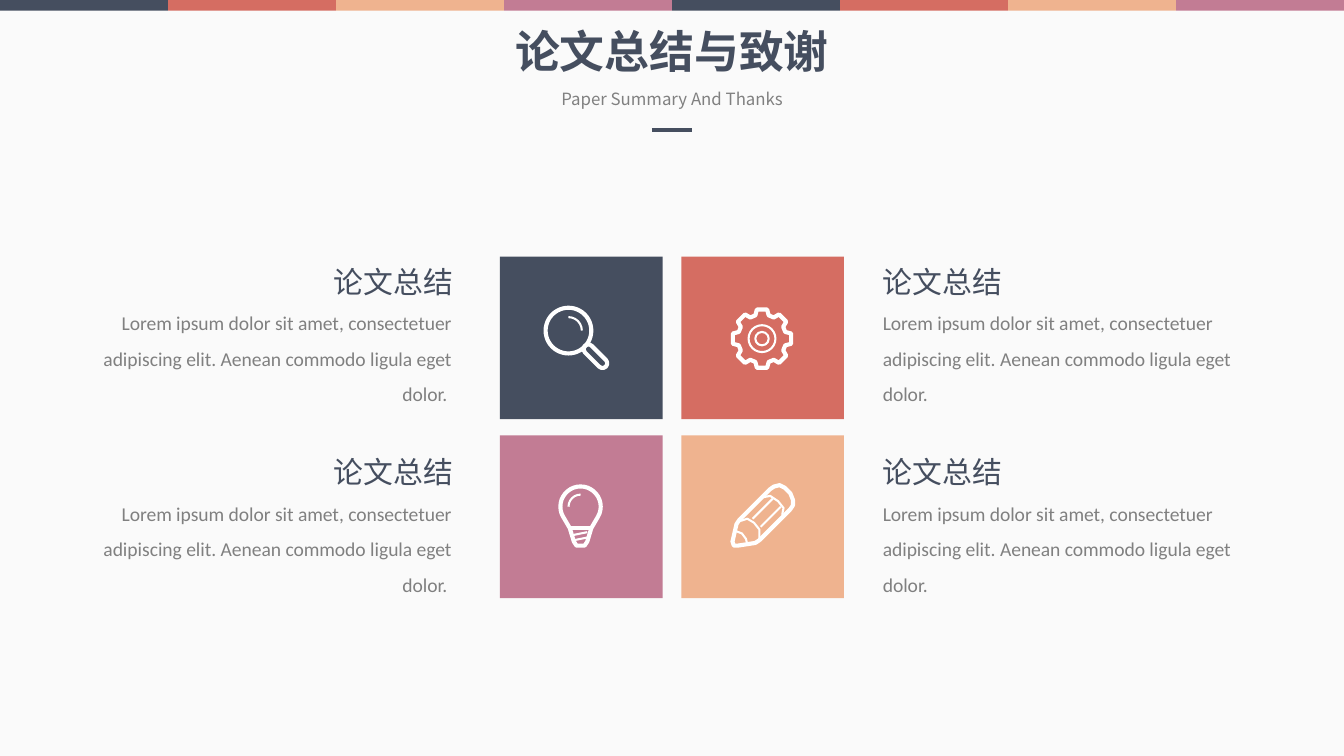
from dataclasses import dataclass
from math import cos, radians, sin

from lxml.etree import SubElement
from pptx import Presentation
from pptx.dml.color import RGBColor
from pptx.enum.shapes import MSO_CONNECTOR, MSO_SHAPE
from pptx.enum.text import MSO_ANCHOR, MSO_AUTO_SIZE, PP_ALIGN
from pptx.oxml.ns import qn
from pptx.util import Inches, Pt


@dataclass(frozen=True)
class Theme:
    background: str = "FAFAFA"
    navy: str = "454E5F"
    red: str = "D56D62"
    peach: str = "EFB38F"
    mauve: str = "C27C94"
    gray: str = "808080"
    white: str = "FFFFFF"
    cjk: str = "Noto Sans CJK SC"
    latin: str = "Calibri"
    title: float = 24
    subtitle: float = 9
    heading: float = 16
    body: float = 10.5
    stroke: float = 2.2
    detail: float = 1.1


THEME = Theme()
HEADING = "论文总结"
SUMMARY = ("Lorem ipsum dolor sit amet, consectetuer adipiscing elit. "
           "Aenean commodo ligula eget dolor.")


def color(value):
    return RGBColor.from_string(value)


def place(holder, left, top, width, height):
    holder.left, holder.top = Inches(left), Inches(top)
    holder.width, holder.height = Inches(width), Inches(height)


def write(holder, text, *, size, ink, font=THEME.cjk, bold=False,
          align=PP_ALIGN.LEFT, spacing=1.0, wrap=False):
    frame = holder.text_frame
    frame.word_wrap = wrap
    frame.auto_size = MSO_AUTO_SIZE.SHAPE_TO_FIT_TEXT
    frame.vertical_anchor = MSO_ANCHOR.TOP
    paragraph = frame.paragraphs[0]
    paragraph.alignment = align
    paragraph.line_spacing = spacing
    paragraph.space_before = Pt(0)
    run = paragraph.add_run()
    run.text = text
    run.font.name, run.font.size, run.font.bold = font, Pt(size), bold
    run.font.color.rgb = color(ink)
    # East Asian glyphs take their own typeface entry
    SubElement(run.font._element, qn("a:ea"), typeface=font)


def add_block(slide, left, top, width, height, fill):
    block = slide.shapes.add_shape(
        MSO_SHAPE.RECTANGLE, Inches(left), Inches(top), Inches(width), Inches(height))
    block.shadow.inherit = False
    block.fill.solid()
    block.fill.fore_color.rgb = color(fill)
    block.line.fill.background()


def add_line(slide, start, end, ink=THEME.white, weight=THEME.detail):
    line = slide.shapes.add_connector(
        MSO_CONNECTOR.STRAIGHT, *[Inches(value) for value in (*start, *end)])
    line.line.color.rgb = color(ink)
    line.line.width = Pt(weight)
    SubElement(line._element.spPr, qn("a:effectLst"))


def style_outline(outline, weight):
    outline.shadow.inherit = False
    outline.fill.background()
    outline.line.color.rgb = color(THEME.white)
    outline.line.width = Pt(weight)


def add_outline(slide, preset, x, y, width, height, weight=THEME.stroke, rotation=0):
    """Stroked preset centred on (x, y)."""
    outline = slide.shapes.add_shape(
        preset, Inches(x - width / 2), Inches(y - height / 2),
        Inches(width), Inches(height))
    outline.rotation = rotation
    style_outline(outline, weight)
    return outline


def add_ring(slide, x, y, radius, weight=THEME.stroke):
    add_outline(slide, MSO_SHAPE.OVAL, x, y, 2 * radius, 2 * radius, weight)


def add_glint(slide, x, y, radius, rotation=0):
    add_outline(slide, MSO_SHAPE.ARC, x, y, 2 * radius, 2 * radius,
                THEME.detail, rotation)


def add_stroke(slide, points, weight=THEME.stroke, close=False):
    start, *rest = [(Inches(x), Inches(y)) for x, y in points]
    builder = slide.shapes.build_freeform(*start)
    builder.add_line_segments(rest, close=close)
    style_outline(builder.convert_to_shape(), weight)


def polar(x, y, radius, degrees):
    return x + radius * cos(radians(degrees)), y + radius * sin(radians(degrees))


def add_magnifier(slide):
    x, y = 4.23, 2.46
    add_ring(slide, x, y, 0.17)
    add_glint(slide, x, y, 0.1)
    handle = add_outline(slide, MSO_SHAPE.ROUNDED_RECTANGLE, x + 0.2, y + 0.19,
                         0.22, 0.07, rotation=45)
    handle.adjustments[0] = 0.5


def add_gear(slide):
    x, y = 5.67, 2.52
    tooth = [(-16, 0.18), (-10, 0.22), (10, 0.22), (16, 0.18)]
    rim = [polar(x, y, radius, 45 * step + turn)
           for step in range(8) for turn, radius in tooth]
    add_stroke(slide, rim, close=True)
    for radius in (0.1, 0.05):
        add_ring(slide, x, y, radius, THEME.detail)


def add_bulb(slide):
    x, y = 4.32, 3.77
    dome = [polar(x, y, 0.15, angle) for angle in range(150, 391, 10)]
    base = [(0.08, 0.16), (0.05, 0.26), (0.03, 0.29)]
    right = [(x + dx, y + dy) for dx, dy in base]
    left = [(x - dx, y + dy) for dx, dy in reversed(base)]
    add_stroke(slide, dome + right + left, close=True)
    add_line(slide, (x - 0.08, y + 0.16), (x + 0.08, y + 0.16), weight=THEME.stroke)
    for dy in (0.21, 0.25):
        add_line(slide, (x - 0.05, y + dy), (x + 0.05, y + dy - 0.02))
    add_glint(slide, x, y, 0.09, rotation=270)


def add_pencil(slide):
    body = [(5.45, 4.03), (5.48, 3.9), (5.5, 3.87), (5.73, 3.64), (5.76, 3.62),
            (5.8, 3.61), (5.84, 3.63), (5.88, 3.67), (5.9, 3.72), (5.9, 3.76),
            (5.88, 3.79), (5.65, 4.02), (5.62, 4.04), (5.49, 4.06), (5.46, 4.06)]
    add_stroke(slide, body, close=True)
    lead = [(5.47, 3.95), (5.52, 3.97), (5.55, 4.01), (5.56, 4.05)]
    wood = [(5.5, 3.88), (5.56, 3.86), (5.61, 3.89), (5.65, 3.94), (5.65, 4.02)]
    eraser = [(5.68, 3.7), (5.73, 3.69), (5.79, 3.73), (5.83, 3.78), (5.82, 3.83)]
    for edge in (lead, wood, eraser):
        add_stroke(slide, edge, THEME.detail)
    for x, y in ((5.6, 3.86), (5.66, 3.92)):
        add_line(slide, (x, y), (x + 0.15, y - 0.15))


def add_header(slide):
    # Colour band
    band = [THEME.navy, THEME.red, THEME.peach, THEME.mauve] * 2
    for index, fill in enumerate(band):
        add_block(slide, 1.25 * index, 0, 1.25, 0.08, fill)
    # Title and subtitle
    title, subtitle = slide.shapes.title, slide.placeholders[1]
    place(title, 3.72, 0.13, 2.56, 0.5)
    write(title, "论文总结与致谢", size=THEME.title, ink=THEME.navy, bold=True,
          align=PP_ALIGN.CENTER)
    place(subtitle, 4.05, 0.61, 1.9, 0.25)
    write(subtitle, "Paper Summary And Thanks", size=THEME.subtitle,
          ink=THEME.gray, align=PP_ALIGN.CENTER)
    # Short rule
    add_line(slide, (4.85, 0.97), (5.15, 0.97), THEME.navy, 2.25)


def add_summary(slide, top, heading_left, body_left, align, text):
    body = slide.shapes.add_textbox(0, 0, 0, 0)
    place(body, body_left, top + 0.27, 2.81, 0.87)
    write(body, text, size=THEME.body, ink=THEME.gray, font=THEME.latin,
          align=align, spacing=1.5, wrap=True)
    heading = slide.shapes.add_textbox(0, 0, 0, 0)
    place(heading, heading_left, top, 1.1, 0.37)
    write(heading, HEADING, size=THEME.heading, ink=THEME.navy, align=align)


def main():
    deck = Presentation()
    # Widescreen 16:9
    deck.slide_width, deck.slide_height = Inches(10), Inches(10 * 9 / 16)
    slide = deck.slides.add_slide(deck.slide_layouts[0])
    slide.background.fill.solid()
    slide.background.fill.fore_color.rgb = color(THEME.background)
    add_header(slide)

    # Two-by-two tiles
    tiles = [(THEME.navy, THEME.red), (THEME.mauve, THEME.peach)]
    for top, fills in zip((1.91, 3.24), tiles):
        for left, fill in zip((3.72, 5.07), fills):
            add_block(slide, left, top, 1.21, 1.21, fill)

    # Summaries beside the tiles
    for top in (1.91, 3.33):
        add_summary(slide, top, 2.37, 0.65, PP_ALIGN.RIGHT, SUMMARY + " ")
        add_summary(slide, top, 6.47, 6.47, PP_ALIGN.LEFT, SUMMARY)

    # Icons
    for add_icon in (add_magnifier, add_gear, add_bulb, add_pencil):
        add_icon(slide)
    deck.save("out.pptx")


if __name__ == "__main__":
    main()
